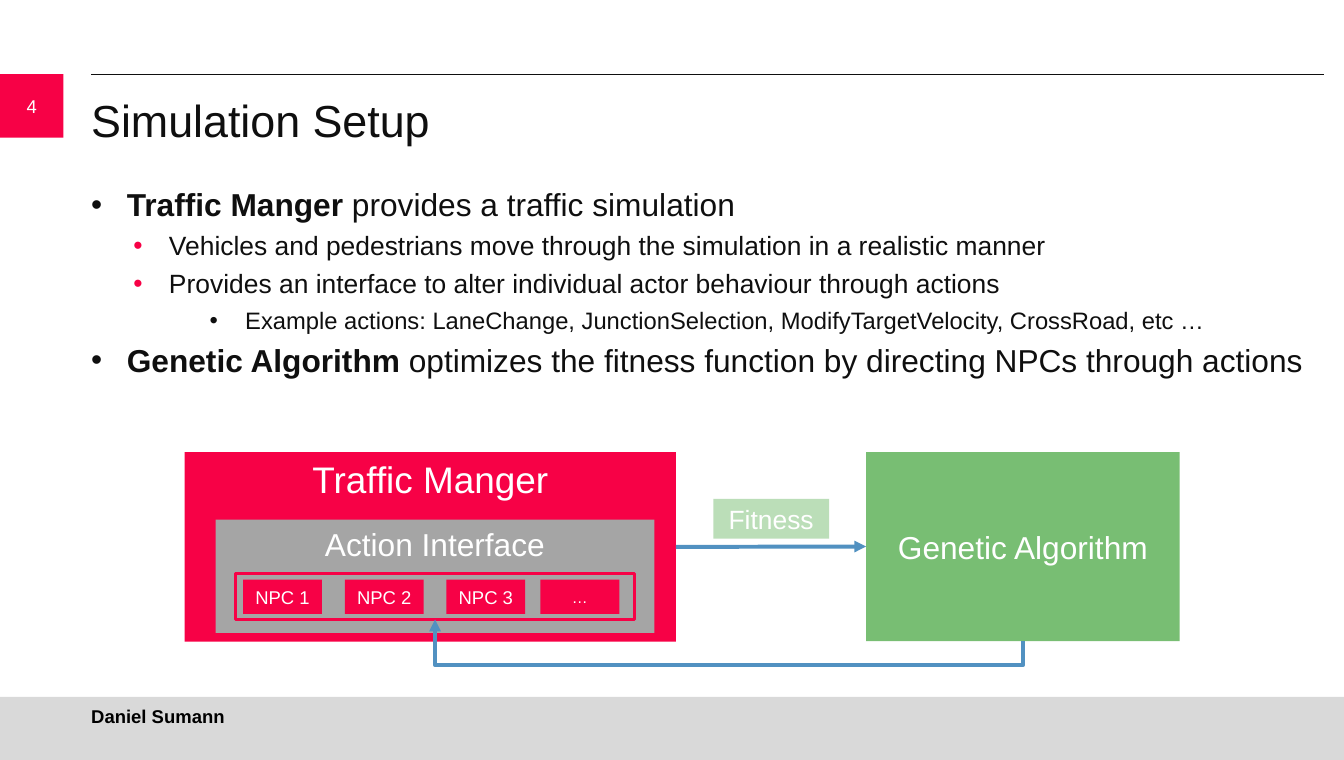
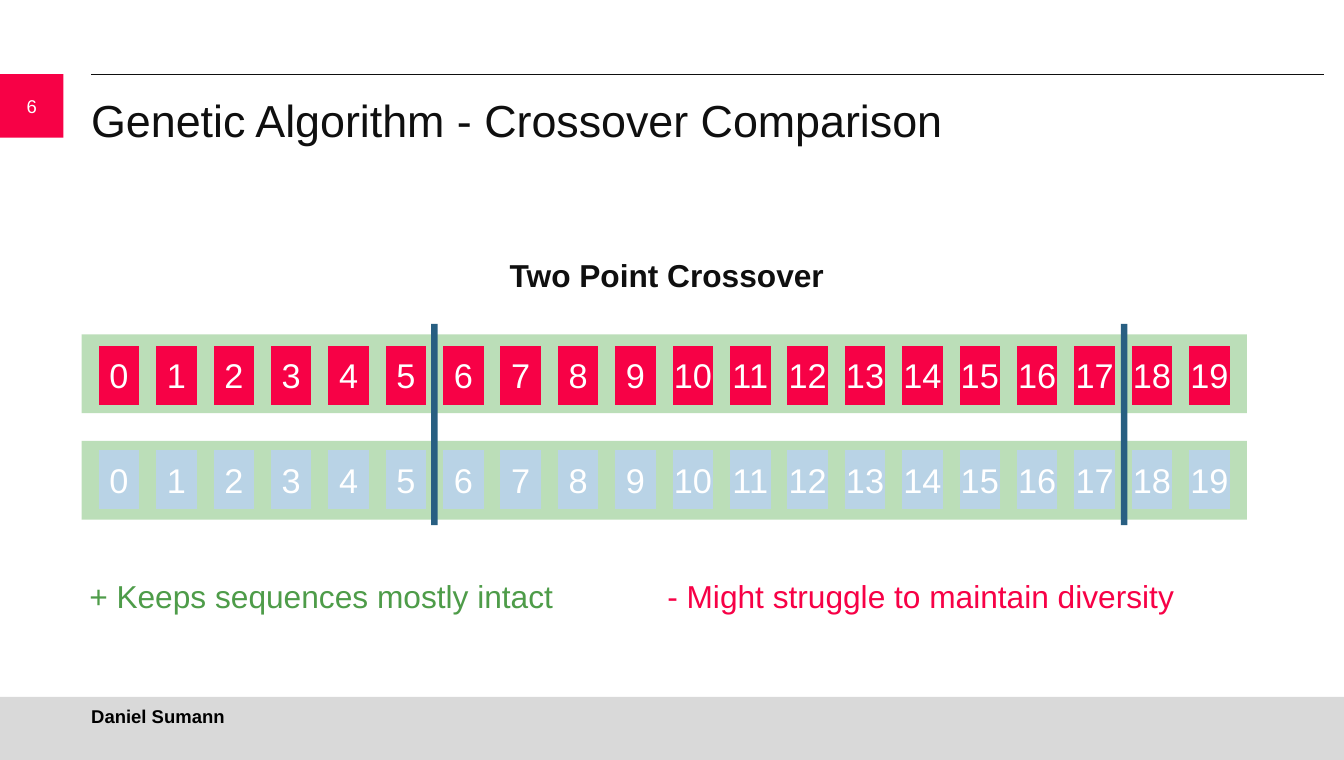
from lxml import etree
from pptx import Presentation
from pptx.dml.color import RGBColor
from pptx.enum.shapes import MSO_CONNECTOR, MSO_SHAPE
from pptx.enum.text import MSO_ANCHOR, PP_ALIGN
from pptx.oxml.ns import qn
from pptx.util import Pt

RED = RGBColor(0xF7, 0x01, 0x46)
GREEN = RGBColor(0x78, 0xBE, 0x73)
DARK_GREEN = RGBColor(0x4E, 0x9C, 0x49)
BLUE = RGBColor(0x51, 0x91, 0xC1)
DARK_BLUE = RGBColor(0x28, 0x5F, 0x82)
PALE_BLUE = RGBColor(0xB9, 0xD3, 0xE6)
GREY = RGBColor(0xA5, 0xA5, 0xA5)
FOOTER_GREY = RGBColor(0xD9, 0xD9, 0xD9)
INK = RGBColor(0x0F, 0x0F, 0x0F)
BLACK = RGBColor(0, 0, 0)
WHITE = RGBColor(0xFF, 0xFF, 0xFF)

RECTANGLE = MSO_SHAPE.RECTANGLE
PROCESS = MSO_SHAPE.FLOWCHART_PROCESS
STRAIGHT, ELBOW = MSO_CONNECTOR.STRAIGHT, MSO_CONNECTOR.ELBOW
TOP, MIDDLE = MSO_ANCHOR.TOP, MSO_ANCHOR.MIDDLE
LEFT, CENTER = PP_ALIGN.LEFT, PP_ALIGN.CENTER

FONT = "Arial"
PAGE_WIDTH, PAGE_HEIGHT = 1018.8, 576
MARGIN = 69.1
BAND = 48.2
RULE_TOP = 56.2
AUTHOR = "Daniel Sumann"

NO_INSETS = (0, 0, 0, 0)
SHAPE_INSETS = (7.2, 3.6, 7.2, 3.6)
NOTE_INSETS = (0, 3.6, 7.2, 3.6)

# Bullet level: text indent, font size, bullet colour
LEVELS = [(27, 24, INK), (59, 20, RED), (116.8, 18, INK)]
HANGING = 27


class Deck:
    """Holds the presentation, its style and the slide being drawn."""

    def __init__(self):
        self.deck = Presentation()
        self.deck.slide_width = Pt(PAGE_WIDTH)
        self.deck.slide_height = Pt(PAGE_HEIGHT)
        self.page = None

    def new_page(self, number, title):
        self.page = self.deck.slides.add_slide(self.deck.slide_layouts[6])
        self.shape((0, PAGE_HEIGHT - BAND + 0.4, PAGE_WIDTH, BAND), FOOTER_GREY)
        self.line((MARGIN, RULE_TOP), (1003.7, RULE_TOP), INK, 0.5)
        self.shape((0, RULE_TOP, BAND, BAND), RED, str(number), 14,
                   insets=(0, 5, 0, 5))
        self.label((MARGIN, 70.6, 935.3, BAND), title, 34, insets=NO_INSETS)
        self.label((MARGIN, 534.2, 922.3, 17.3), AUTHOR, 14, BLACK, bold=True,
                   insets=NO_INSETS, anchor=MIDDLE)

    def setup_frame(self, box, insets, anchor):
        frame = box.text_frame
        frame.word_wrap = True
        frame.vertical_anchor = anchor
        (frame.margin_left, frame.margin_top,
         frame.margin_right, frame.margin_bottom) = map(Pt, insets)
        return frame

    def span(self, para, text, size, color, bold=False):
        span = para.add_run()
        span.text = text
        span.font.name = FONT
        span.font.size = Pt(size)
        span.font.bold = bold
        span.font.color.rgb = color

    def shape(self, area, fill=None, text="", size=24, outline=None, alpha=None,
              kind=RECTANGLE, insets=SHAPE_INSETS, anchor=MIDDLE):
        """Draw a preset shape; alpha is its opacity in percent."""
        box = self.page.shapes.add_shape(kind, *map(Pt, area))
        box.shadow.inherit = False
        if fill is None:
            box.fill.background()
        else:
            box.fill.solid()
            box.fill.fore_color.rgb = fill
        if alpha is not None:
            color = box.fill._xPr.find(qn("a:solidFill"))[0]
            etree.SubElement(color, qn("a:alpha"), val=str(alpha * 1000))
        if outline is None:
            box.line.fill.background()
        else:
            box.line.color.rgb = outline
            box.line.width = Pt(2.25)
        if text:
            para = self.setup_frame(box, insets, anchor).paragraphs[0]
            para.alignment = CENTER
            self.span(para, text, size, WHITE)

    def label(self, area, text, size=24, color=INK, bold=False, align=LEFT,
              insets=NOTE_INSETS, anchor=TOP):
        box = self.page.shapes.add_textbox(*map(Pt, area))
        para = self.setup_frame(box, insets, anchor).paragraphs[0]
        para.alignment = align
        self.span(para, text, size, color, bold)

    def bullets(self, area, items):
        """Write items of (level, bold lead, plain text) as one list."""
        box = self.page.shapes.add_textbox(*map(Pt, area))
        frame = self.setup_frame(box, NO_INSETS, TOP)
        for index, (level, lead, text) in enumerate(items):
            para = frame.add_paragraph() if index else frame.paragraphs[0]
            if index:
                para.space_before = Pt(4.8)
            indent, size, bullet_color = LEVELS[level]
            props = para._p.get_or_add_pPr()
            props.set("lvl", str(level))
            props.set("marL", str(Pt(indent)))
            props.set("indent", str(-Pt(HANGING)))
            color = etree.SubElement(props, qn("a:buClr"))
            etree.SubElement(color, qn("a:srgbClr"), val=str(bullet_color))
            etree.SubElement(props, qn("a:buFont"), typeface=FONT)
            etree.SubElement(props, qn("a:buChar"), char="•")
            if lead:
                self.span(para, lead, size, INK, bold=True)
            self.span(para, text, size, INK)

    def line(self, start, end, color, width, arrow=False, kind=STRAIGHT):
        line = self.page.shapes.add_connector(kind, *map(Pt, start + end))
        line.line.color.rgb = color
        line.line.width = Pt(width)
        if arrow:
            etree.SubElement(line.line._get_or_add_ln(), qn("a:tailEnd"), type="triangle")
        etree.SubElement(line._element.spPr, qn("a:effectLst"))
        return line

    def loop_arrow(self, start, end, drop, color, width):
        """Lead an arrow down from start by drop, leftwards, then up to end."""
        across, rise = start[0] - end[0], start[1] - end[1]
        middle_x, middle_y = (start[0] + end[0]) / 2, (start[1] + end[1]) / 2
        # The frame is laid out upright, then turned by a quarter.
        line = self.line((middle_x + rise / 2, middle_y - across / 2),
                         (middle_x - rise / 2, middle_y + across / 2),
                         color, width, arrow=True, kind=ELBOW)
        props = line._element.spPr
        props.find(qn("a:xfrm")).set("rot", str(90 * 60000))
        guides = props.find(qn("a:prstGeom")).get_or_add_avLst()
        etree.SubElement(guides, qn("a:gd"), name="adj1",
                         fmla=f"val {round(-drop / rise * 100000)}")


def simulation_setup(deck):
    deck.new_page(4, "Simulation Setup")
    deck.bullets((MARGIN, 140.4, 935.3, 345.6), [
        (0, "Traffic Manger ", "provides a traffic simulation"),
        (1, "", "Vehicles and pedestrians move through the simulation in a realistic manner"),
        (1, "", "Provides an interface to alter individual actor behaviour through actions"),
        (2, "", "Example actions: LaneChange, JunctionSelection, "
                "ModifyTargetVelocity, CrossRoad, etc …"),
        (0, "Genetic Algorithm ",
         "optimizes the fitness function by directing NPCs through actions"),
    ])
    deck.shape((140, 342.7, 372.4, 143.7), RED, "Traffic Manger", 28, anchor=TOP)
    deck.shape((163.4, 393.9, 332.6, 85.7), GREY, "Action Interface", anchor=TOP)
    deck.shape((178.6, 434.9, 302.4, 34.6), outline=RED)
    for left, name, size in [(184.3, "NPC 1", 14), (261.4, "NPC 2", 14),
                             (338.4, "NPC 3", 14), (409.7, "…", 12)]:
        deck.shape((left, 439.4, 59.8, 25.9), RED, name, size)
    deck.shape((656.6, 342.7, 237.6, 143.3), GREEN, "Genetic Algorithm")
    deck.line((512.4, 414.5), (656.6, 414.2), BLUE, 3, arrow=True)
    deck.loop_arrow((775.4, 486), (329.8, 469.5), 18.2, BLUE, 3)
    deck.shape((540.7, 378, 87.8, 30.2), GREEN, "Fitness", 20, alpha=50)


def crossover_comparison(deck):
    deck.new_page(6, "Genetic Algorithm - Crossover Comparison")
    deck.label((385.2, 190.1, 247.7, 36), "Two Point Crossover", bold=True, align=CENTER)
    gene_left, gene_pitch = 74.9, 43.5
    for band_top, gene_top, color in [(253.4, 262, RED), (334.1, 341.2, PALE_BLUE)]:
        deck.shape((61.9, band_top, 883.4, 59.8), GREEN, alpha=50)
        for gene in range(20):
            deck.shape((gene_left + gene * gene_pitch, gene_top, 30.7, 44.6), color,
                       str(gene), 26, kind=PROCESS, insets=NO_INSETS)
    for cut_left in (326.9, 849.6):
        deck.shape((cut_left, 245.5, 5, 152.6), DARK_BLUE)
    notes = [("+ Keeps sequences mostly intact", DARK_GREEN),
             ("- Might struggle to maintain diversity", RED)]
    for column, (text, color) in enumerate(notes):
        deck.label((67.7 + column * 438.1, 433.4, 438.1, 65.5), text, color=color)


def main():
    deck = Deck()
    simulation_setup(deck)
    crossover_comparison(deck)
    deck.deck.save("out.pptx")


if __name__ == "__main__":
    main()
